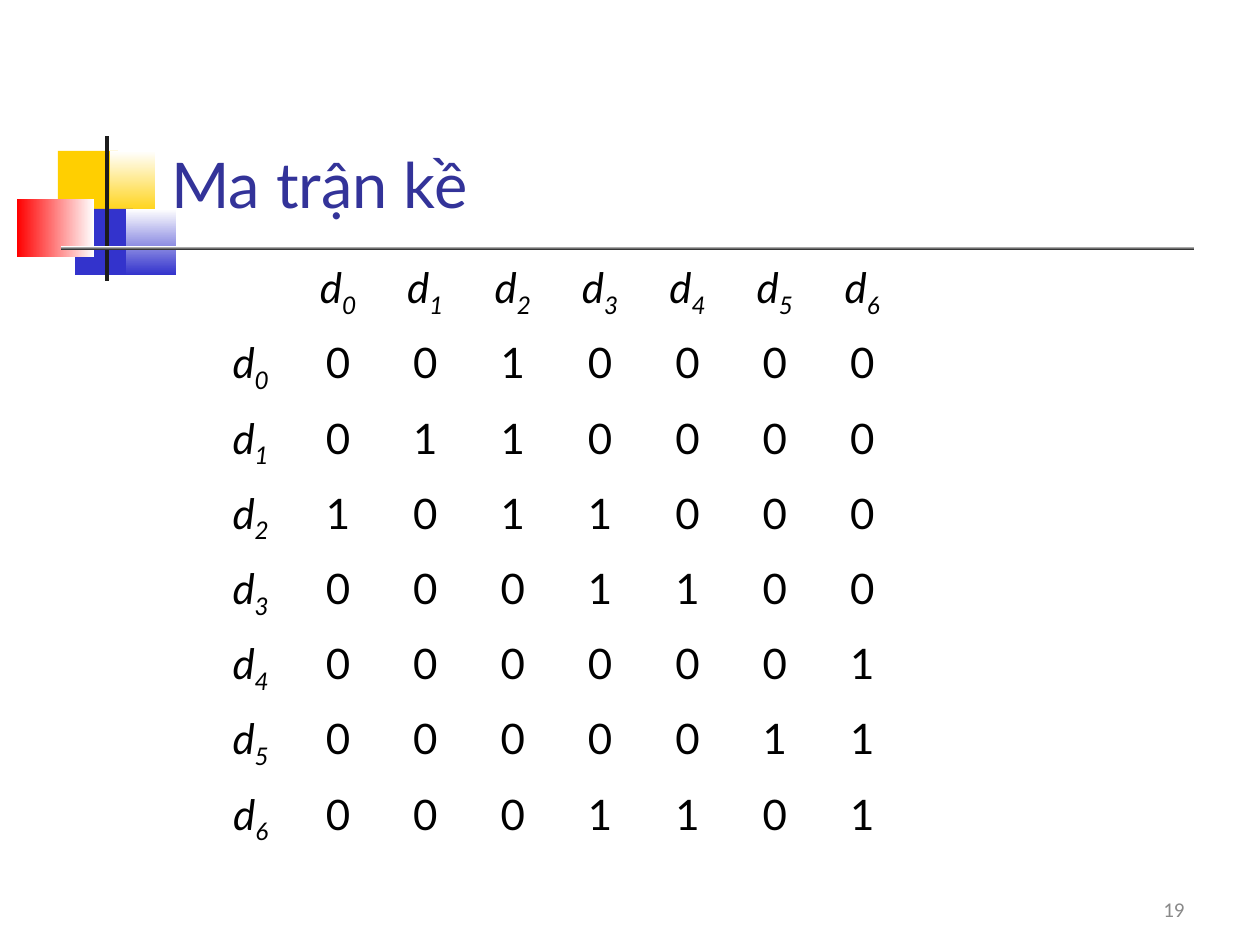
from pptx import Presentation
from pptx.dml.color import RGBColor
from pptx.enum.shapes import MSO_SHAPE
from pptx.enum.text import MSO_ANCHOR, PP_ALIGN
from pptx.util import Emu, Pt

YELLOW = RGBColor(0xFF, 0xCF, 0x01)
BLUE = RGBColor(0x33, 0x33, 0xCC)
RED = RGBColor(0xFF, 0x00, 0x00)
WHITE = RGBColor(0xFF, 0xFF, 0xFF)
DARK = RGBColor(0x1C, 0x1C, 0x1C)
BLACK = RGBColor(0x00, 0x00, 0x00)
NAVY = RGBColor(0x33, 0x33, 0x99)
GREY = RGBColor(0x89, 0x89, 0x89)

TITLE = "Ma trận kề"
PAGE_NUMBER = "19"
MATRIX = [
    "0010000",
    "0110000",
    "1011000",
    "0001100",
    "0000001",
    "0000011",
    "0001101",
]

# left, top, width, height, colours (two make a gradient), counterclockwise angle
ORNAMENTS = [
    (58, 151, 60, 66, (YELLOW,), 0),
    (110, 151, 45, 66, (YELLOW, WHITE), 90),
    (75, 209, 58, 66, (BLUE,), 0),
    (126, 209, 50, 66, (BLUE, WHITE), 90),
    (17, 199, 77, 58, (WHITE, RED), 180),
    (105, 136, 4, 145, (DARK,), 0),
    (61, 246, 1133, 4, (DARK, WHITE), 90),
]
TABLE_BOX = (207, 256, 699, 602)


def px(length):
    return Emu(length * 914400 // 126)


def add_run(paragraph, text, font_name, size, color):
    run = paragraph.add_run()
    run.text = text
    run.font.name = font_name
    run.font.size = Pt(size)
    run.font.color.rgb = color
    return run


def add_text(slide, box, text, font_name, size, color, align):
    frame = slide.shapes.add_textbox(*map(px, box)).text_frame
    frame.word_wrap = True
    frame.vertical_anchor = MSO_ANCHOR.MIDDLE
    paragraph = frame.paragraphs[0]
    paragraph.alignment = align
    add_run(paragraph, text, font_name, size, color)


def add_ornament(slide, left, top, width, height, colors, angle):
    ornament = slide.shapes.add_shape(
        MSO_SHAPE.RECTANGLE, *map(px, (left, top, width, height)))
    ornament.shadow.inherit = False
    ornament.line.fill.background()
    if len(colors) == 1:
        ornament.fill.solid()
        ornament.fill.fore_color.rgb = colors[0]
        return
    ornament.fill.gradient()
    ornament.fill.gradient_angle = angle
    for stop, position, color in zip(ornament.fill.gradient_stops, (0, 1), colors):
        stop.position = position
        stop.color.rgb = color


def add_matrix(slide):
    count = len(MATRIX) + 1
    table = slide.shapes.add_table(count, count, *map(px, TABLE_BOX)).table
    table.first_row = table.horz_banding = False
    for column in table.columns:
        column.width = px(TABLE_BOX[2]) // count
    for row in table.rows:
        row.height = px(TABLE_BOX[3]) // count

    for r in range(count):
        for c in range(count):
            cell = table.cell(r, c)
            cell.fill.background()
            paragraph = cell.text_frame.paragraphs[0]
            paragraph.alignment = PP_ALIGN.CENTER
            if r and c:
                add_run(paragraph, MATRIX[r - 1][c - 1], "Lato", 24, BLACK)
            elif r or c:
                # Vertex label with its index as a subscript
                vertex = add_run(paragraph, "d", "Lato", 24, BLACK)
                index = add_run(paragraph, str(r + c - 1), "Lato", 24, BLACK)
                vertex.font.italic = index.font.italic = True
                index.font._element.set("baseline", "-25000")


def main():
    prs = Presentation()
    prs.slide_width, prs.slide_height = px(1260), px(945)
    slide = prs.slides.add_slide(prs.slide_layouts[6])

    # Corner ornament and rule
    for ornament in ORNAMENTS:
        add_ornament(slide, *ornament)

    # Page number, adjacency matrix, title
    add_text(slide, (903, 892, 294, 34), PAGE_NUMBER, "Calibri", 12, GREY, PP_ALIGN.RIGHT)
    add_matrix(slide)
    add_text(slide, (159, 135, 1073, 96), TITLE, "Lato", 36, NAVY, PP_ALIGN.LEFT)

    prs.save("out.pptx")


if __name__ == "__main__":
    main()
